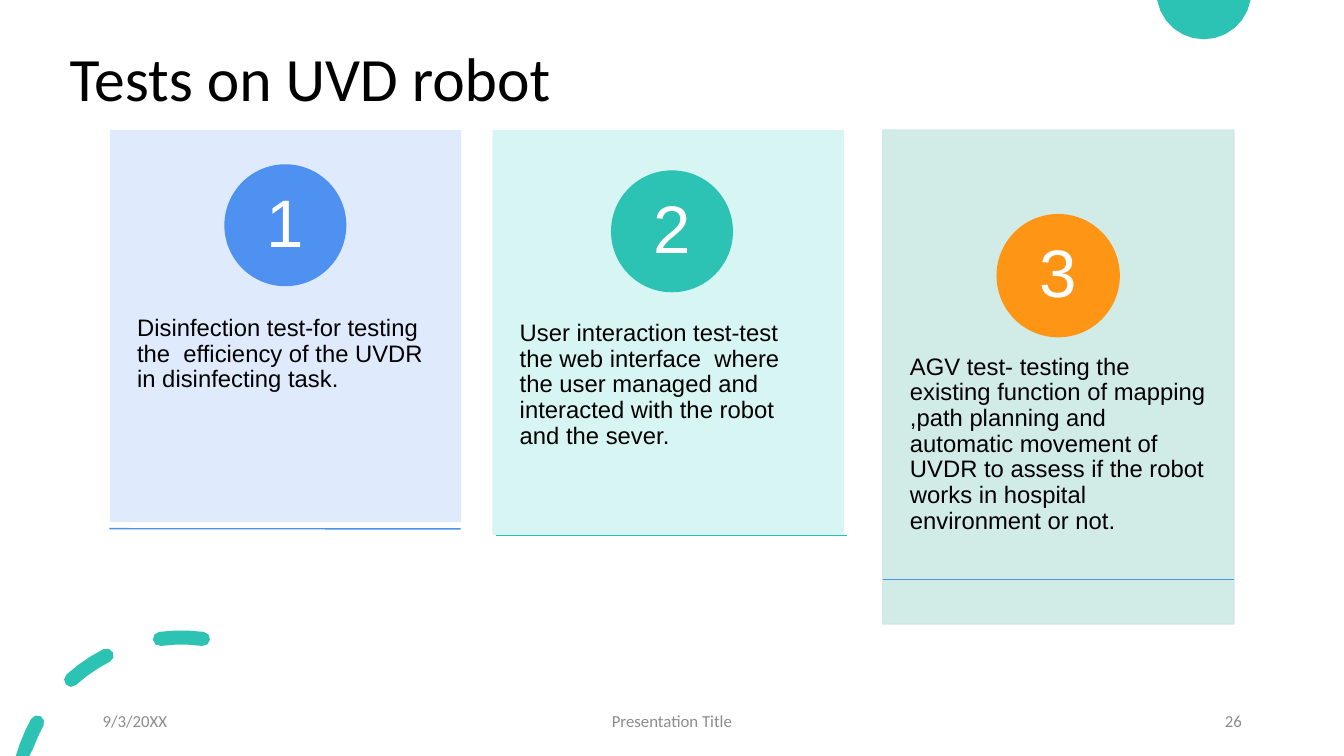
from dataclasses import dataclass
from math import cos, radians, sin

from lxml.etree import SubElement
from pptx import Presentation
from pptx.dml.color import RGBColor as Rgb
from pptx.enum.shapes import MSO_CONNECTOR as Link, MSO_SHAPE as Kind
from pptx.enum.text import MSO_ANCHOR as Anchor, PP_ALIGN as Align
from pptx.oxml.ns import qn
from pptx.util import Pt

PX = 9144  # 100 px to the inch
WIDE, HIGH = 1333, 750


@dataclass(frozen=True)
class Theme:
    teal: str = "2CC3B4"
    blue: str = "4E91F0"
    amber: str = "FF9514"
    ink: str = "000000"
    white: str = "FFFFFF"
    grey: str = "8C8C8C"
    head: str = "Calibri"
    text: str = "Arial"
    title: int = 44
    digit: int = 48
    body: int = 17
    small: int = 12


T = Theme()


@dataclass(frozen=True)
class Card:
    left: float
    high: int
    back: str
    disc: tuple
    tint: str
    rule: tuple
    edge: str
    words: str
    framed: bool = False
    drop: float = 0


CARDS = [
    Card(109, 389, "DCE9FC", (222.5, 163), T.blue, (108.5, 524.5), T.blue,
         "Disinfection test-for testing the  efficiency of the UVDR in disinfecting task.",
         drop=0.2),
    Card(488.5, 402, "D3F5F2", (606, 169), T.teal, (491.5, 531), T.teal,
         "User interaction test-test the web interface  where the user managed "
         "and interacted with the robot and the sever."),
    Card(875.5, 490, "CDE9E5", (989, 213), T.amber, (875.5, 575), T.blue,
         "AGV test- testing the existing function of mapping ,path planning and "
         "automatic movement of UVDR to assess if the robot works in hospital "
         "environment or not.", framed=True),
]
TOP, SPAN, DISC = 129, 348.5, 121


def px(*nums):
    return [round(n * PX) for n in nums]


def apply(obj, form):
    for key, val in form.items():
        setattr(obj, key, val)


def write(shape, words, size, tint, face, align=Align.LEFT, anchor=Anchor.MIDDLE,
          pad=(10, 5), lead=0.9):
    frame = shape.text_frame
    side, end = px(*pad)
    apply(frame, dict(text=words, word_wrap=True, vertical_anchor=anchor,
                      margin_left=side, margin_right=side,
                      margin_top=end, margin_bottom=end))
    para = frame.paragraphs[0]
    apply(para, dict(alignment=align, line_spacing=lead))
    apply(para.font, dict(name=face, size=Pt(size)))
    para.font.color.rgb = Rgb.from_string(tint)


def label(slide, box, words, *args, **form):
    write(slide.shapes.add_textbox(*px(*box)), words, *args, **form)


def fade(fill):
    """Make a solid fill 90% opaque."""
    tone = fill._xPr.find(qn("a:solidFill"))[0]
    SubElement(tone, qn("a:alpha")).set("val", "90000")


def paint(shape, tint, framed=False, clear=False):
    shape.shadow.inherit = False
    parts = [shape.fill]
    if framed:
        shape.line.width = Pt(1)
        parts.append(shape.line.fill)
    else:
        shape.line.fill.background()
    for fill in parts:
        fill.solid()
        fill.fore_color.rgb = Rgb.from_string(tint)
        if clear:
            fade(fill)


def block(slide, kind, box, tint, **form):
    shape = slide.shapes.add_shape(kind, *px(*box))
    paint(shape, tint, **form)
    return shape


def rule(slide, left, top, tint, drop):
    ends = px(left, top, left + SPAN, top + drop)
    line = slide.shapes.add_connector(Link.STRAIGHT, *ends)
    line.line.color.rgb = Rgb.from_string(tint)
    line.line.width = Pt(1)
    SubElement(line._element.spPr, qn("a:effectLst"))


def arc(mid, rad, start, end, steps):
    """Points on a circle; degrees run clockwise from the top."""
    turns = [radians(start + (end - start) * i / steps) for i in range(steps + 1)]
    return [(mid[0] + rad * sin(t), mid[1] - rad * cos(t)) for t in turns]


def trace(slide, *loops):
    """Draw closed loops as one teal shape, cut off at the slide's edges."""
    pen = None
    for loop in loops:
        first, *rest = [px(x, min(max(y, 0), HIGH)) for x, y in loop]
        if pen:
            pen.move_to(*first)
        else:
            pen = slide.shapes.build_freeform(*first, scale=1.0)
        pen.add_line_segments(rest, close=True)
    paint(pen.convert_to_shape(), T.teal)


def dash(start, end):
    """Outline of a round-ended piece of the corner ring."""
    mid, rad, half = (180, 796), 163.5, 7
    first, last = arc(mid, rad, start, end, 1)
    return (arc(mid, rad + half, start, end, 3)
            + arc(last, half, end, end + 180, 4)[1:-1]
            + arc(mid, rad - half, end, start, 3)
            + arc(first, half, start + 180, start + 360, 4)[1:-1])


def decor(slide):
    trace(slide, arc((1194, -8), 47, 100, 260, 12))
    trace(slide, dash(-74.5, -61), dash(-42, -27), dash(-7.5, 7.5))


def panel(slide, num, card):
    block(slide, Kind.RECTANGLE, (card.left, TOP, SPAN, card.high), card.back,
          framed=card.framed, clear=True)
    label(slide, (card.left, TOP + 0.38 * card.high + 0.5, SPAN, 0.6 * card.high),
          card.words, T.body, T.ink, T.text, anchor=Anchor.TOP, pad=(27, 36))
    disc = block(slide, Kind.OVAL, (*card.disc, DISC, DISC), card.tint,
                 framed=card.framed)
    write(disc, str(num), T.digit, T.white, T.text, Align.CENTER, pad=(9, 1))
    rule(slide, *card.rule, card.edge, card.drop)


def footer(slide):
    for left, wide, words, align in (
            (92, 300, "9/3/20XX", Align.LEFT),
            (441.5, 450, "Presentation Title", Align.CENTER),
            (941.5, 300, "26", Align.RIGHT)):
        label(slide, (left, 695, wide, 40), words, T.small, T.grey, T.head,
              align=align, lead=1.0)


def main():
    deck = Presentation()
    deck.slide_width, deck.slide_height = px(WIDE, HIGH)
    slide = deck.slides.add_slide(deck.slide_layouts[5])
    decor(slide)
    title = slide.shapes.title
    apply(title, dict(zip(("left", "top", "width", "height"), px(59, 40, 1150, 82))))
    write(title, "Tests on UVD robot", T.title, T.ink, T.head)
    for num, card in enumerate(CARDS, 1):
        panel(slide, num, card)
    footer(slide)
    deck.save("out.pptx")


if __name__ == "__main__":
    main()
